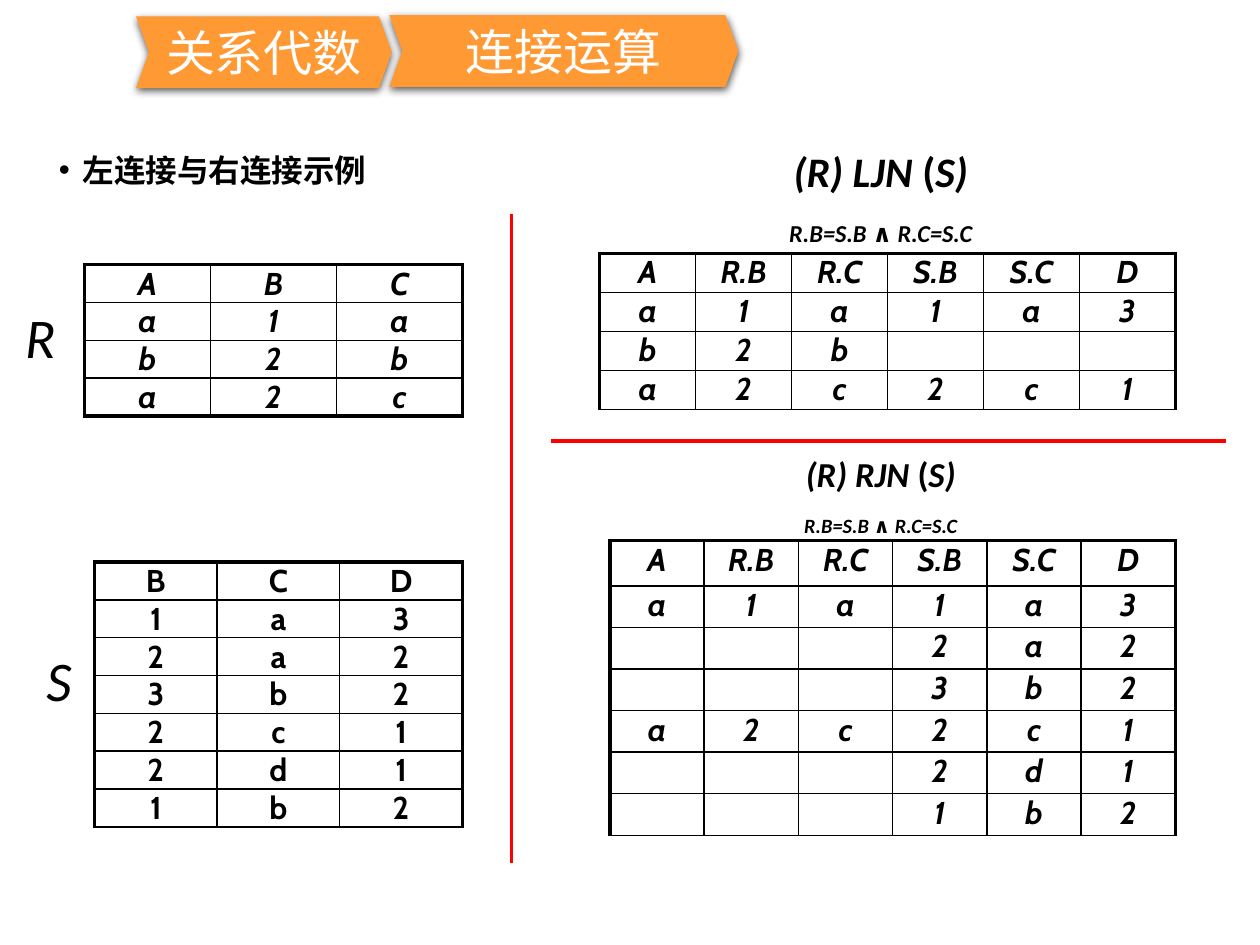
from dataclasses import dataclass
from lxml.etree import SubElement as Sub
from pptx import Presentation
from pptx.dml.color import RGBColor as Rgb
from pptx.enum.shapes import MSO_CONNECTOR as Conn, MSO_SHAPE as Form
from pptx.enum.text import MSO_ANCHOR as Anchor, PP_ALIGN as Align
from pptx.oxml.ns import qn
from pptx.util import Inches, Pt


@dataclass(frozen=True)
class Theme:
    """Colours, fonts, type sizes and line widths."""
    ink: str = "000000"
    white: str = "FFFFFF"
    orange: str = "FF9933"
    red: str = "FF0000"
    han: str = "Noto Sans CJK SC"
    latin: str = "Calibri"
    grid: str = "Cabin"
    title: int = 28
    name: int = 32
    left: int = 24
    right: int = 20
    body: int = 18
    thin: float = 1
    thick: float = 2.25
    rule: float = 2


T = Theme()
JOIN = "A,R.B,R.C,S.B,S.C,D"
R_ROWS = ["A,B,C", "a,1,a", "b,2,b", "a,2,c"]
S_ROWS = ["B,C,D", "1,a,3", "2,a,2", "3,b,2", "2,c,1", "2,d,1", "1,b,2"]
LEFT_ROWS = [JOIN, "a,1,a,1,a,3", "b,2,b,,,", "a,2,c,2,c,1"]
RIGHT_ROWS = [JOIN, "a,1,a,1,a,3", ",,,2,a,2", ",,,3,b,2",
              "a,2,c,2,c,1", ",,,2,d,1", ",,,1,b,2"]


def style(run, face, size, color=T.ink, bold=False, slant=False):
    """Format one run, with the same face for Latin and Han text."""
    font = run.font
    font.name, font.size, font.bold, font.italic = face, Pt(size), bold, slant
    font.color.rgb = Rgb.from_string(color)
    Sub(run._r.get_or_add_rPr(), qn("a:ea"), typeface=face)


def add_box(slide, x, y, w, h, wrap=False):
    """Add a text box and return its frame."""
    frame = slide.shapes.add_textbox(*map(Inches, (x, y, w, h))).text_frame
    frame.word_wrap = wrap
    return frame


def add_tab(slide, text, x, y, w):
    """Add an orange chevron heading with a soft shadow."""
    shape = slide.shapes.add_shape(
        Form.CHEVRON, *map(Inches, (x, y, w, 0.57)))
    shape.adjustments[0] = 0.18
    shape.fill.solid()
    shape.fill.fore_color.rgb = Rgb.from_string(T.orange)
    shape.line.fill.background()
    shape.shadow.inherit = False
    glow = Sub(shape._element.spPr.find(qn("a:effectLst")),
               qn("a:outerShdw"), blurRad=str(Pt(4.5)), dist=str(Pt(1.5)),
               dir="5400000", algn="ctr", rotWithShape="0")
    tone = Sub(glow, qn("a:srgbClr"), val=T.ink)
    Sub(tone, qn("a:alpha"), val="63000")
    frame = shape.text_frame
    frame.text = text
    frame.word_wrap = False
    frame.vertical_anchor = Anchor.MIDDLE
    para = frame.paragraphs[0]
    para.alignment = Align.CENTER
    style(para.runs[0], T.han, T.title, T.white)


def add_point(slide, text):
    """Add the bulleted lead line."""
    frame = add_box(slide, 0, 1.18, 9.78, 5.46, True)
    frame.text = text
    para = frame.paragraphs[0]
    props = para._p.get_or_add_pPr()
    props.set("marL", str(Inches(0.56)))
    props.set("indent", str(Inches(-0.19)))
    Sub(props, qn("a:buFont"), typeface="Arial")
    Sub(props, qn("a:buChar"), char="•")
    para.line_spacing = 0.9
    style(para.runs[0], T.han, T.body, bold=True)


def add_name(slide, text, x, y, w):
    """Add the large name of a relation."""
    frame = add_box(slide, x, y, w, 0.92)
    frame.text = text
    frame.vertical_anchor = Anchor.MIDDLE
    para = frame.paragraphs[0]
    para.alignment = Align.CENTER
    style(para.runs[0], T.latin, T.name, slant=True)


def add_join(slide, kind, y, h, size):
    """Add a join expression with its condition as a subscript."""
    frame = add_box(slide, 5, y, 3.98, h)
    frame.vertical_anchor = Anchor.MIDDLE
    head, cond = frame.paragraphs[0], frame.add_paragraph()
    parts = ((head, (f"(R) {kind}", " (", "S)")),
             (cond, ("R.B=S.B ", "∧ ", "R.C=S.C")))
    for para, texts in parts:
        para.alignment = Align.CENTER
        para.line_spacing = 0.8
        for i, text in enumerate(texts):
            run = para.add_run()
            run.text = text
            style(run, T.latin, size, bold=True, slant=i != 1)
            if para is cond:
                run._r.get_or_add_rPr().set("baseline", "-25000")


def set_edge(cell, side, width):
    """Draw one side of a cell."""
    line = Sub(cell._tc.get_or_add_tcPr(), qn(f"a:ln{side}"),
               w=str(Pt(width)))
    Sub(Sub(line, qn("a:solidFill")), qn("a:srgbClr"), val=T.ink)


def fill_cell(cell, text, slant):
    """Set the text of a cell without margins or fill."""
    cell.margin_left = cell.margin_right = 0
    cell.margin_top = cell.margin_bottom = 0
    cell.fill.background()
    cell.text = text
    para = cell.text_frame.paragraphs[0]
    para.alignment = Align.CENTER
    for run in para.runs:
        style(run, T.grid, T.body, bold=True, slant=slant)
    if not text:
        Sub(para._p, qn("a:endParaRPr"), sz=str(T.body * 100))


def add_grid(slide, rows, x, y, w, high, top=None, slant=True, base=T.thin):
    """Add a table with a heavy frame and a thin inner grid."""
    data = [row.split(",") for row in rows]
    m, n = len(data), len(data[0])
    top = top or high
    size = map(Inches, (x, y, w, top + high * (m - 1)))
    grid = slide.shapes.add_table(m, n, *size).table
    grid.first_row = grid.horz_banding = False
    for col in grid.columns:
        col.width = Inches(w / n)
    for i, row in enumerate(data):
        grid.rows[i].height = Inches(high if i else top)
        for j, text in enumerate(row):
            cell = grid.cell(i, j)
            set_edge(cell, "L", T.thin if j else T.thick)
            set_edge(cell, "R", T.thin if j < n - 1 else T.thick)
            set_edge(cell, "T", T.thin if i else T.thick)
            set_edge(cell, "B", T.thin if i < m - 1 else base)
            fill_cell(cell, text, slant)


def add_rule(slide, *ends):
    """Add a red dividing line."""
    line = slide.shapes.add_connector(Conn.STRAIGHT, *map(Inches, ends))
    line.line.color.rgb = Rgb.from_string(T.red)
    line.line.width = Pt(T.rule)
    Sub(line._element.spPr, qn("a:effectLst"))


def main():
    """Build the slide and save it."""
    deck = Presentation()
    deck.slide_width, deck.slide_height = Inches(10), Inches(7.5)
    slide = deck.slides.add_slide(deck.slide_layouts[6])
    add_point(slide, "左连接与右连接示例")
    add_tab(slide, "关系代数", 1.08, 0.13, 2.03)
    add_tab(slide, "连接运算", 3.09, 0.12, 2.77)
    add_grid(slide, R_ROWS, 0.67, 2.1, 3, 0.3, base=T.thick)
    add_name(slide, "R", 0, 2.21, 0.64)
    add_name(slide, "S", 0.27, 4.93, 0.33)
    add_rule(slide, 4.06, 1.7, 4.06, 6.85)
    add_join(slide, "LJN", 1.22, 0.71, T.left)
    add_grid(slide, LEFT_ROWS, 4.76, 2.01, 4.57, 0.31)
    add_grid(slide, S_ROWS, 0.75, 4.46, 2.92, 0.3, slant=False)
    add_grid(slide, RIGHT_ROWS, 4.84, 4.29, 4.49, 0.33, top=0.36)
    add_join(slide, "RJN", 3.59, 0.7, T.right)
    add_rule(slide, 9.73, 3.5, 4.37, 3.5)
    deck.save("out.pptx")


if __name__ == "__main__":
    main()
